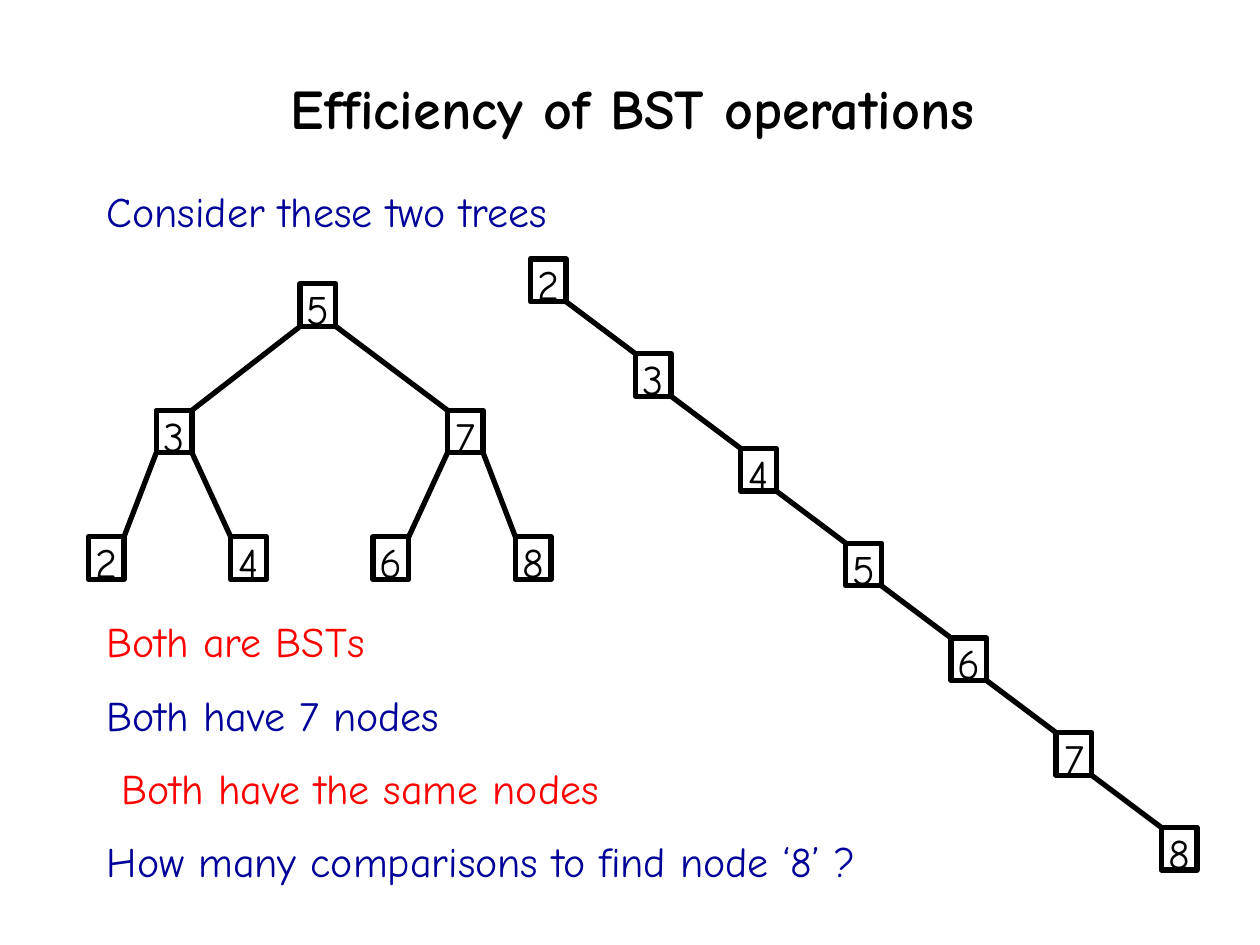
from lxml.etree import SubElement
from pptx import Presentation
from pptx.dml.color import RGBColor
from pptx.enum.shapes import MSO_CONNECTOR, MSO_SHAPE
from pptx.enum.text import MSO_ANCHOR, MSO_AUTO_SIZE, PP_ALIGN
from pptx.oxml.ns import qn
from pptx.util import Cm, Pt

BLACK, WHITE, NAVY, RED = "000000", "FFFFFF", "000099", "FF0000"
NODE_W, NODE_H = 0.72, 0.86


def rgb(value):
    return RGBColor.from_string(value)


def write(para, text, size=24, color=BLACK, bold=False, align=PP_ALIGN.LEFT, before=0):
    para.alignment = align
    para.space_before = Pt(before)
    span = para.add_run()
    span.text = text
    span.font.name = "Comic Neue"
    span.font.size = Pt(size)
    span.font.bold = bold
    span.font.color.rgb = rgb(color)


deck = Presentation()
deck.slide_width, deck.slide_height = Cm(25.4), Cm(19.05)
page = deck.slides.add_slide(deck.slide_layouts[1])

# Title
title = page.shapes.title
title.left, title.top, title.width, title.height = Cm(5.61), Cm(1.35), Cm(14.73), Cm(1.63)
title.text_frame.auto_size = MSO_AUTO_SIZE.NONE
title.text_frame.word_wrap = False
write(title.text_frame.paragraphs[0], "Efficiency of BST operations", size=32, bold=True)

# Opening line
intro = page.shapes.add_textbox(Cm(1.9), Cm(3.61), Cm(20.75), Cm(1.27))
intro.text_frame.word_wrap = True
write(intro.text_frame.paragraphs[0], "Consider these two trees", color=NAVY)

# Statements below the trees: text, colour, indent in cm
statements = [
    ("Both are BSTs", RED, 0),
    ("Both have 7 nodes", NAVY, 0),
    ("Both have the same nodes", RED, 0.3),
    ("How many comparisons to find node ‘8’ ?", NAVY, 0),
]
body = page.placeholders[1]
body.left, body.top, body.width, body.height = Cm(1.9), Cm(12.29), Cm(20.75), Cm(5.7)
body.text_frame.auto_size = MSO_AUTO_SIZE.NONE
for index, (text, color, indent) in enumerate(statements):
    para = body.text_frame.paragraphs[0] if index == 0 else body.text_frame.add_paragraph()
    properties = para._p.get_or_add_pPr()
    properties.set("marL", str(Cm(indent)))
    properties.set("indent", "0")
    SubElement(properties, qn("a:buNone"))
    write(para, text, color=color, before=13 if index else 0)

# Trees: value -> left and top of the node in cm, and parent-child edges
levels = [5.72 + 2.55 * level for level in range(3)]
leaves = [1.78 + 2.87 * leaf for leaf in range(4)]
balanced = {5: (6.05, levels[0]), 3: (3.15, levels[1]), 7: (9.02, levels[1])}
balanced.update({value: (left, levels[2]) for value, left in zip((2, 4, 6, 8), leaves)})
balanced_edges = [(5, 3), (5, 7), (3, 2), (3, 4), (7, 6), (7, 8)]

chain = {value: (10.69 + 2.12 * step, 5.22 + 1.91 * step)
         for step, value in enumerate(range(2, 9))}
chain_edges = [(value, value + 1) for value in range(2, 8)]

for nodes, edges in ((balanced, balanced_edges), (chain, chain_edges)):
    tree = page.shapes.add_group_shape()

    # Edges run from a lower corner of the parent to an upper corner of the child
    for parent, child in edges:
        (x1, y1), (x2, y2) = nodes[parent], nodes[child]
        if child < parent:
            x2 += NODE_W
        else:
            x1 += NODE_W
        edge = tree.shapes.add_connector(
            MSO_CONNECTOR.STRAIGHT, Cm(x1), Cm(y1 + NODE_H), Cm(x2), Cm(y2))
        edge.line.color.rgb = rgb(BLACK)
        edge.line.width = Pt(3)
        SubElement(edge._element.spPr, qn("a:effectLst"))

    # Nodes
    for value, (left, top) in nodes.items():
        node = tree.shapes.add_shape(
            MSO_SHAPE.RECTANGLE, Cm(left), Cm(top), Cm(NODE_W), Cm(NODE_H))
        node.shadow.inherit = False
        node.fill.solid()
        node.fill.fore_color.rgb = rgb(WHITE)
        node.line.color.rgb = rgb(BLACK)
        node.line.width = Pt(3)
        frame = node.text_frame
        frame.margin_left = frame.margin_right = frame.margin_top = frame.margin_bottom = 0
        frame.vertical_anchor = MSO_ANCHOR.TOP
        frame.word_wrap = False
        write(frame.paragraphs[0], str(value), align=PP_ALIGN.CENTER)

deck.save("out.pptx")
